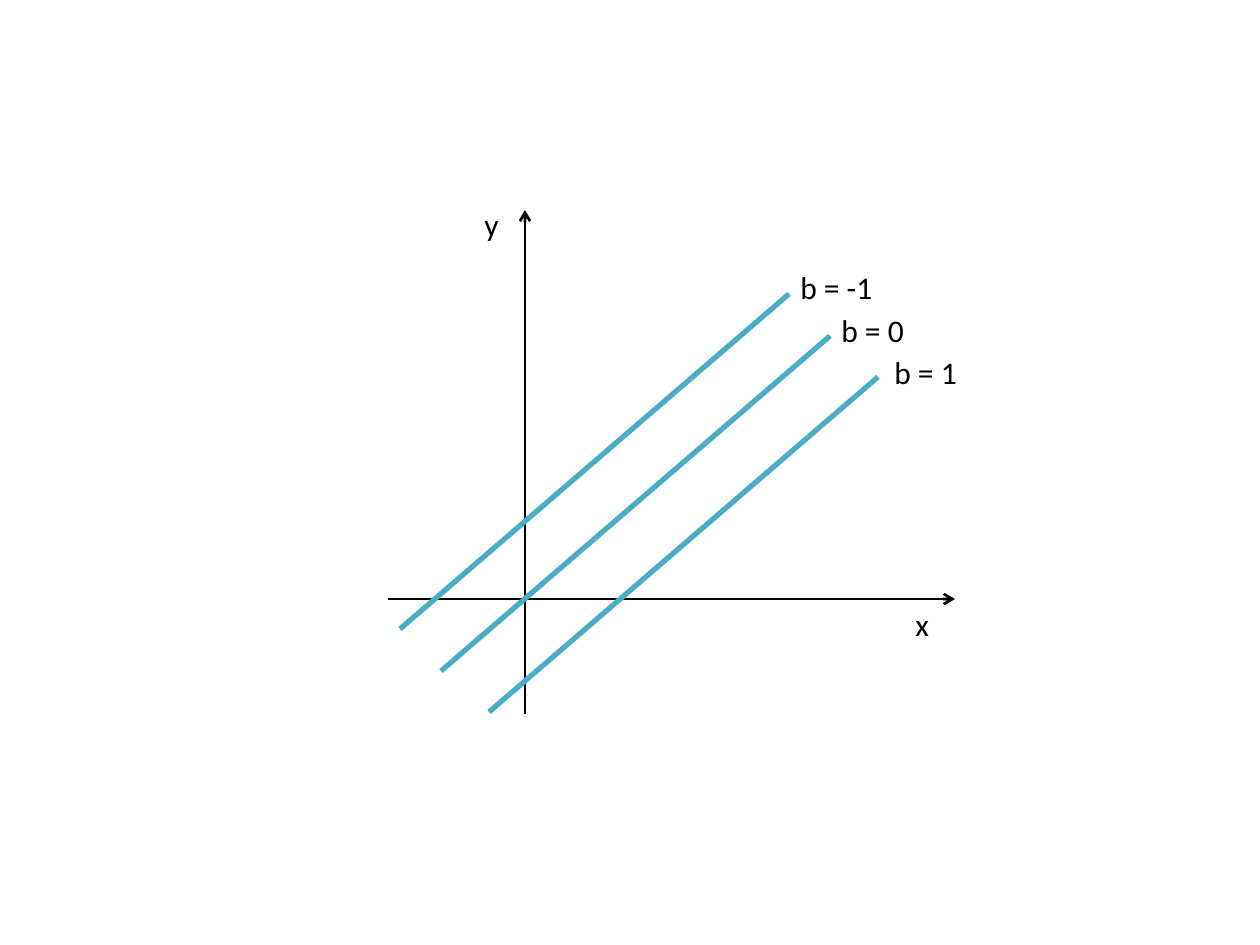
"""Build a slide of three parallel lines on a pair of axes."""
from lxml import etree
from pptx import Presentation
from pptx import util as u
from pptx.dml import color
from pptx.enum import shapes, text
from pptx.oxml import ns

SCALE = 914400 / 126
COLORS = {"ink": "000000", "line": "4BACC6"}
FONT = {"name": "Calibri", "size": u.Pt(18)}
FRAME = {"word_wrap": False, "auto_size": text.MSO_AUTO_SIZE.SHAPE_TO_FIT_TEXT}
RUN = (-389, 335)


def px(*vals):
    """Turn pixels into EMU."""
    return [u.Emu(round(v * SCALE)) for v in vals]


def put(obj, vals):
    """Set attributes from a dict."""
    for key, val in vals.items():
        setattr(obj, key, val)


def rgb(name):
    """Look up a named colour."""
    return color.RGBColor.from_string(COLORS[name])


def line(slide, start, end, tint, width, arrow=False):
    """Draw a straight line, with an arrowhead at its end if asked."""
    item = slide.shapes.add_connector(
        shapes.MSO_CONNECTOR.STRAIGHT, *px(*start, *end))
    item.line.width = u.Pt(width)
    item.line.color.rgb = rgb(tint)
    props = item.element.spPr
    etree.SubElement(props, ns.qn("a:effectLst"))
    if arrow:
        tip = etree.SubElement(props.find(ns.qn("a:ln")), ns.qn("a:tailEnd"))
        tip.set("type", "arrow")


def label(slide, words, left, top, width):
    """Write a short label."""
    box = slide.shapes.add_textbox(*px(left, top, width, 51))
    put(box.text_frame, FRAME)
    run = box.text_frame.paragraphs[0].add_run()
    run.text = words
    put(run.font, FONT)
    run.font.color.rgb = rgb("ink")


def main():
    """Build and save the slide."""
    deck = Presentation()
    put(deck, dict(zip(("slide_width", "slide_height"), px(1260, 945))))
    slide = deck.slides.add_slide(deck.slide_layouts[6])
    for start, end in (((525, 714), (525, 210)), ((388, 599), (955, 599))):
        line(slide, start, end, "ink", 1.5, True)
    for words, left, top in (("y", 472, 199), ("x", 903, 599)):
        label(slide, words, left, top, 40)
    rows = (("b = 1", 878, 377, 882, 347, 88),
            ("b = 0", 830, 336, 829, 305, 88),
            ("b = -1", 789, 294, 788, 262, 98))
    for words, x, y, left, top, width in rows:
        line(slide, (x, y), (x + RUN[0], y + RUN[1]), "line", 3)
        label(slide, words, left, top, width)
    deck.save("out.pptx")


main()
